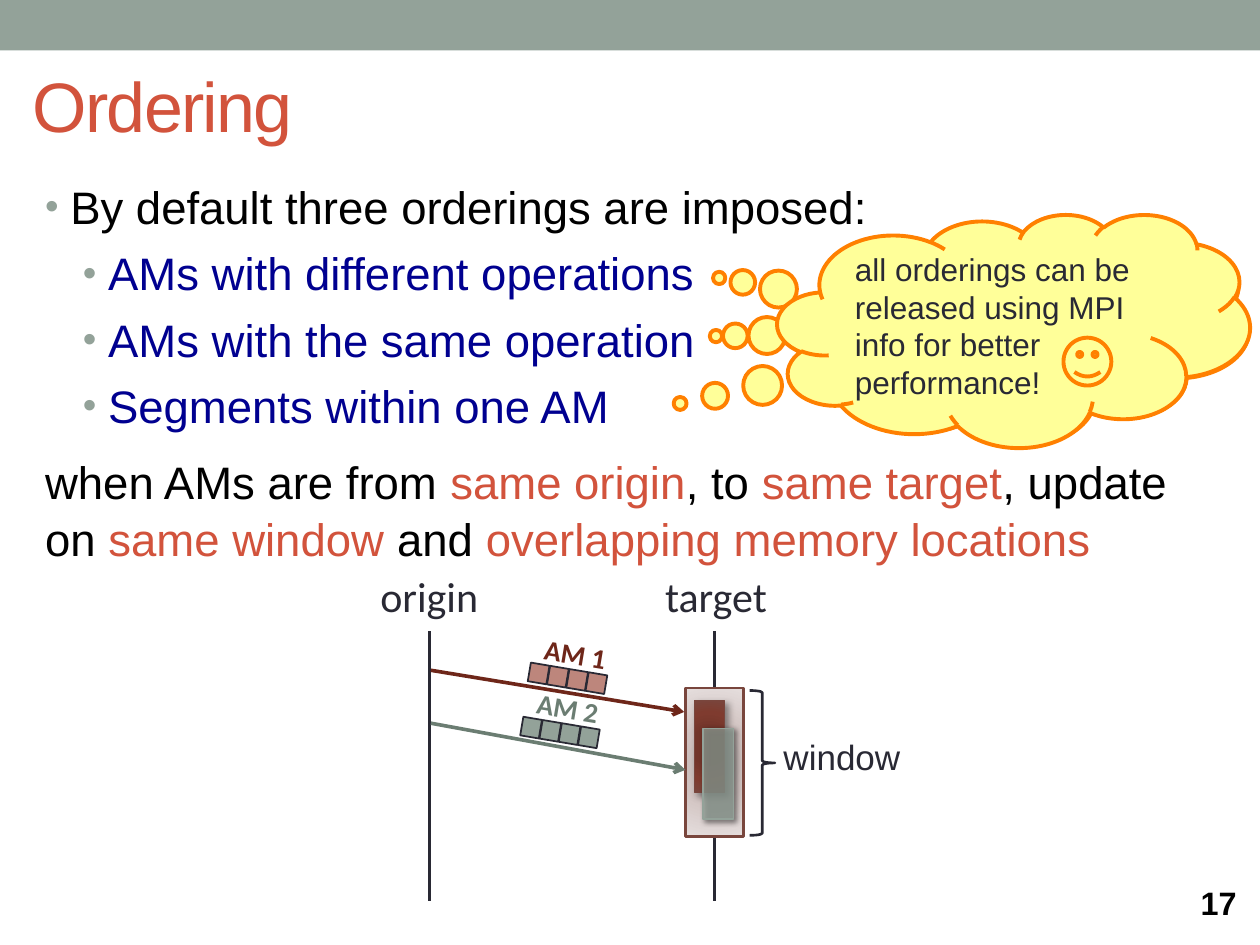
import math

from lxml import etree
from pptx import Presentation
from pptx import util as u
from pptx.dml.color import RGBColor
from pptx.enum import shapes, text
from pptx.oxml import parse_xml
from pptx.oxml.ns import qn

COLORS = {
    "black": "000000", "sage": "93A299", "red": "D2533C", "navy": "000090",
    "ink": "292934", "maroon": "6E2619", "moss": "6B7D72", "rust": "79463D",
    "rose": "BD867C", "cream": "FFFF99", "orange": "FF8000",
}
WINDOW_STOPS = [(0, "C0B3B1"), (45, "D0C2C0"), (100, "E5DEDD")]
SEGMENT_STOPS = [(0, "743327"), (34, "72352A"), (70, "7F3B2F"), (100, "79463D")]
NAMESPACE = 'xmlns:a="http://schemas.openxmlformats.org/drawingml/2006/main"'
TILT = 9.5
SHAPE = shapes.MSO_SHAPE


def rgb(name):
    return RGBColor.from_string(COLORS[name])


def add_span(para, words, size, color, font="Arial", bold=False):
    span = para.add_run()
    span.text = words
    span.font.size = u.Pt(size)
    span.font.name = font
    span.font.bold = bold
    span.font.color.rgb = rgb(color)
    return span


def add_label(parent, words, left, top, width, height, size, color, font="Arial",
              bold=False, wrap=True):
    box = parent.add_textbox(*map(u.Inches, (left, top, width, height)))
    box.text_frame.word_wrap = wrap
    add_span(box.text_frame.paragraphs[0], words, size, color, font, bold)
    return box


def add_figure(parent, kind, left, top, width, height, fill=None, line=None, weight=1):
    figure = parent.add_shape(kind, *map(u.Inches, (left, top, width, height)))
    figure.shadow.inherit = False
    if fill:
        figure.fill.solid()
        figure.fill.fore_color.rgb = rgb(fill)
    else:
        figure.fill.background()
    if line:
        figure.line.color.rgb = rgb(line)
        figure.line.width = u.Pt(weight)
    else:
        figure.line.fill.background()
    return figure


def add_line(parent, start, end, color, weight, arrow=False):
    line = parent.add_connector(shapes.MSO_CONNECTOR.STRAIGHT,
                                *map(u.Inches, (*start, *end)))
    line.line.color.rgb = rgb(color)
    line.line.width = u.Pt(weight)
    if arrow:
        etree.SubElement(line.line._get_or_add_ln(), qn("a:tailEnd"), type="arrow")
    etree.SubElement(line._element.spPr, qn("a:effectLst"))


def set_radial_fill(figure, stops):
    marks = "".join(f'<a:gs pos="{pos * 1000}"><a:srgbClr val="{color}"/></a:gs>'
                    for pos, color in stops)
    old = figure._element.spPr.find(qn("a:noFill"))
    old.getparent().replace(old, parse_xml(
        f'<a:gradFill {NAMESPACE} rotWithShape="1"><a:gsLst>{marks}</a:gsLst>'
        '<a:path path="circle"><a:fillToRect l="100000" t="100000" r="100000" '
        'b="100000"/></a:path></a:gradFill>'))


def set_shadow(figure, alpha, blur, distance):
    effects = figure._element.spPr.find(qn("a:effectLst"))
    effects.append(parse_xml(
        f'<a:outerShdw {NAMESPACE} blurRad="{u.Pt(blur)}" dist="{u.Pt(distance)}" '
        f'dir="2700000" rotWithShape="0"><a:srgbClr val="{COLORS["black"]}">'
        f'<a:alpha val="{alpha * 1000}"/></a:srgbClr></a:outerShdw>'))


def add_bullet(para, indent):
    props = para._p.get_or_add_pPr()
    props.set("marL", str(u.Inches(indent)))
    props.set("indent", str(u.Inches(-0.2)))
    color = etree.SubElement(props, qn("a:buClr"))
    etree.SubElement(color, qn("a:srgbClr"), val=COLORS["sage"])
    etree.SubElement(props, qn("a:buSzPct"), val="85000")
    etree.SubElement(props, qn("a:buFont"), typeface="Arial")
    etree.SubElement(props, qn("a:buChar"), char="•")


def fill_title(title, left, top, width, height):
    title.left, title.top, title.width, title.height = map(
        u.Inches, (left, top, width, height))
    title.text_frame.vertical_anchor = text.MSO_ANCHOR.MIDDLE
    para = title.text_frame.paragraphs[0]
    para.alignment = text.PP_ALIGN.LEFT
    span = add_span(para, "Ordering", 40, "red")
    span.font._element.set("spc", "-100")


def add_body(parent, left, top, width, height):
    frame = parent.add_textbox(*map(u.Inches, (left, top, width, height))).text_frame
    frame.word_wrap = True
    rows = [
        (0.2, 0, [("By default three orderings are imposed:", "black")]),
        (0.5, 5.2, [("AMs with different operations", "navy")]),
        (0.5, 5.2, [("AMs with the same operation", "navy")]),
        (0.5, 5.2, [("Segments within one AM", "navy")]),
        (None, 10.4, [("when AMs are from ", "black"), ("same origin", "red"),
                      (", to ", "black"), ("same target", "red"),
                      (", update on ", "black"), ("same window ", "red"),
                      ("and ", "black"), ("overlapping memory locations", "red")]),
    ]
    for index, (indent, gap, spans) in enumerate(rows):
        para = frame.add_paragraph() if index else frame.paragraphs[0]
        para.line_spacing = 1.05
        para.space_before = u.Pt(gap)
        if indent:
            add_bullet(para, indent)
        for words, color in spans:
            add_span(para, words, 26, color)


def add_message(parent, name, left, top, color, fill):
    """Tilted message name with its row of four data cells."""
    label = add_label(parent, name, left, top, 1.09, 0.37, 16, color, "Calibri", True)
    label.rotation = TILT
    angle, pitch = math.radians(TILT), 0.155
    for step in range(4):
        cell = add_figure(parent, SHAPE.RECTANGLE,
                          left - 0.02 + step * pitch * math.cos(angle),
                          top + 0.23 + step * pitch * math.sin(angle),
                          0.15, 0.15, fill, "ink", 1)
        cell.rotation = TILT


def add_timeline(page, left, top):
    """Origin and target lines, two messages and the target's window."""
    group = page.shapes.add_group_shape().shapes
    for name, x, offset, width in (("origin", 0.49, 0, 0.99), ("target", 2.75, 2.26, 1.03)):
        add_line(group, (left + x, top + 0.53), (left + x, top + 2.67), "ink", 2)
        add_label(group, name, left + offset, top, width, 0.5, 24, "ink", "Calibri", wrap=False)

    window = add_figure(group, SHAPE.RECTANGLE, left + 2.52, top + 0.98, 0.46, 1.18,
                        line="rust", weight=1.5)
    set_radial_fill(window, WINDOW_STOPS)
    add_line(group, (left + 0.5, top + 0.84), (left + 2.51, top + 1.17), "maroon", 2.08, True)
    add_line(group, (left + 0.5, top + 1.26), (left + 2.52, top + 1.63), "moss", 2.08, True)
    add_message(group, "AM 1", left + 1.3, top + 0.56, "maroon", "rose")
    add_message(group, "AM 2", left + 1.24, top + 0.99, "moss", "sage")

    first = add_figure(group, SHAPE.RECTANGLE, left + 2.59, top + 1.08, 0.24, 0.73,
                       line="rust", weight=0.75)
    set_radial_fill(first, SEGMENT_STOPS)
    set_shadow(first, 40, 4, 3)
    second = add_figure(group, SHAPE.RECTANGLE, left + 2.66, top + 1.3, 0.24, 0.72,
                        "sage", "sage", 0.75)
    tint = second._element.spPr.find(qn("a:solidFill"))[0]
    etree.SubElement(tint, qn("a:alpha"), val="72000")
    set_shadow(second, 60, 3, 2)

    add_figure(group, SHAPE.RIGHT_BRACE, left + 3.03, top + 1, 0.2, 1.15,
               line="ink", weight=1.5)
    add_label(group, "window", left + 3.2, top + 1.31, 1.33, 0.44, 20, "ink")


def add_thought(page, left, top):
    """Stacked clouds whose bubbles lead to the three orderings."""
    group = page.shapes.add_group_shape().shapes
    clouds = [(0.07, 0.07, 3.67, 1.76, -0.645, -0.252),
              (0.07, 0.06, 3.67, 1.76, -0.652, 0.016),
              (0, 0, 3.75, 1.85, -0.706, 0.312)]
    for x, y, width, height, *tip in clouds:
        cloud = add_figure(group, SHAPE.CLOUD_CALLOUT, left + x, top + y, width, height,
                           "cream", "orange", 2.25)
        cloud.adjustments[0], cloud.adjustments[1] = tip
    frame = cloud.text_frame
    frame.word_wrap = True
    frame.vertical_anchor = text.MSO_ANCHOR.MIDDLE
    frame.paragraphs[0].alignment = text.PP_ALIGN.LEFT
    add_span(frame.paragraphs[0], "all orderings can be released using MPI info for "
             "better performance!", 18, "ink")
    add_figure(page.shapes, SHAPE.SMILEY_FACE, left + 2.27, top + 0.98, 0.38, 0.38,
               "cream", "orange", 2.25)


def main():
    deck = Presentation()
    deck.slide_width, deck.slide_height = u.Inches(10), u.Inches(7.5)
    page = deck.slides.add_slide(deck.slide_layouts[5])
    add_figure(page.shapes, SHAPE.RECTANGLE, 0, 0, 10, 0.4, "sage")
    add_body(page.shapes, 0.26, 1.35, 9.33, 5.33)
    fill_title(page.shapes.title, 0.16, 0.29, 9.55, 1.08)
    number = add_label(page.shapes, "17", 9.43, 6.98, 1.17, 0.36, 18.5, "black", bold=True)
    number.text_frame.vertical_anchor = text.MSO_ANCHOR.MIDDLE
    add_timeline(page, 2.92, 4.48)
    add_thought(page, 6.17, 1.7)
    deck.save("out.pptx")


if __name__ == "__main__":
    main()
